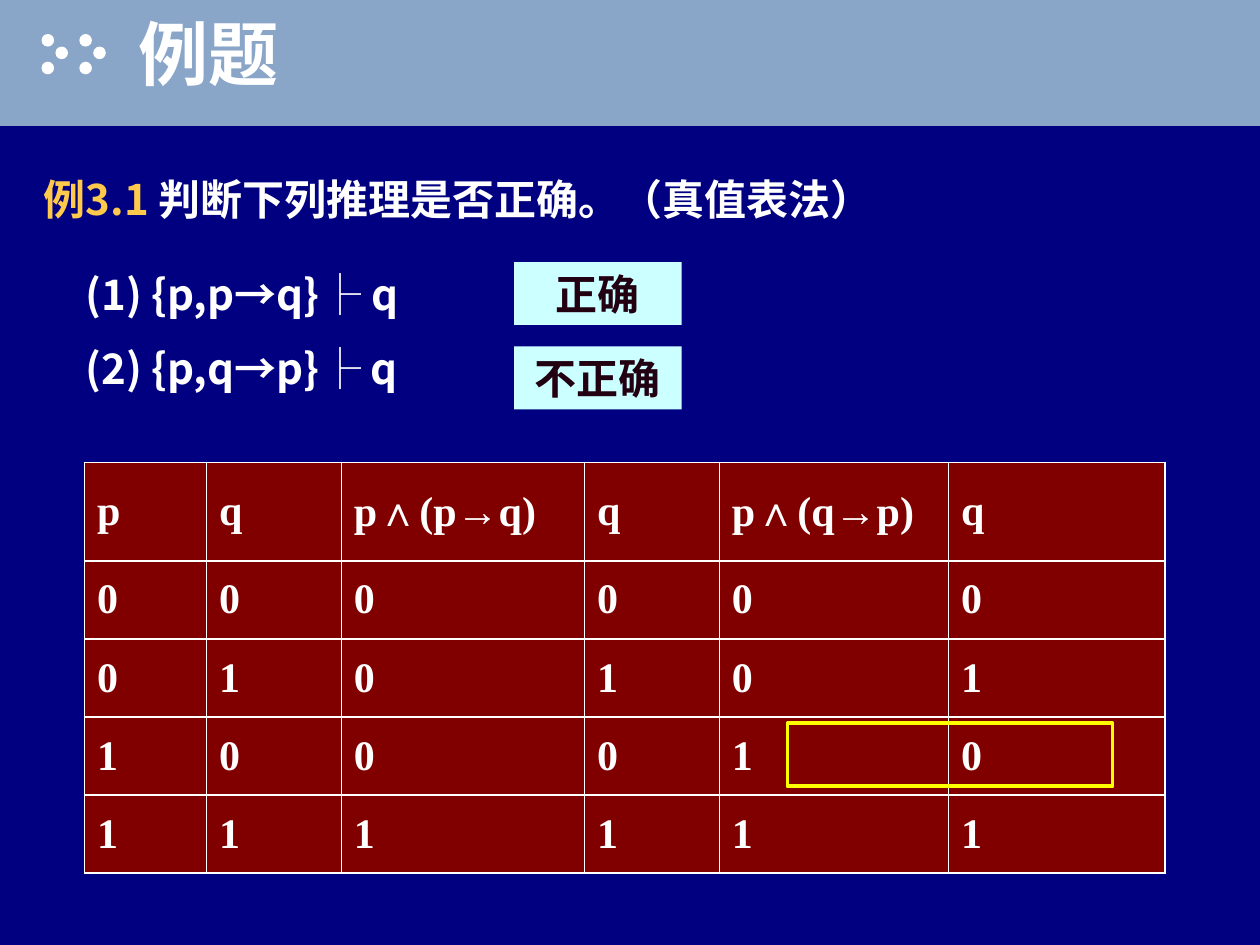
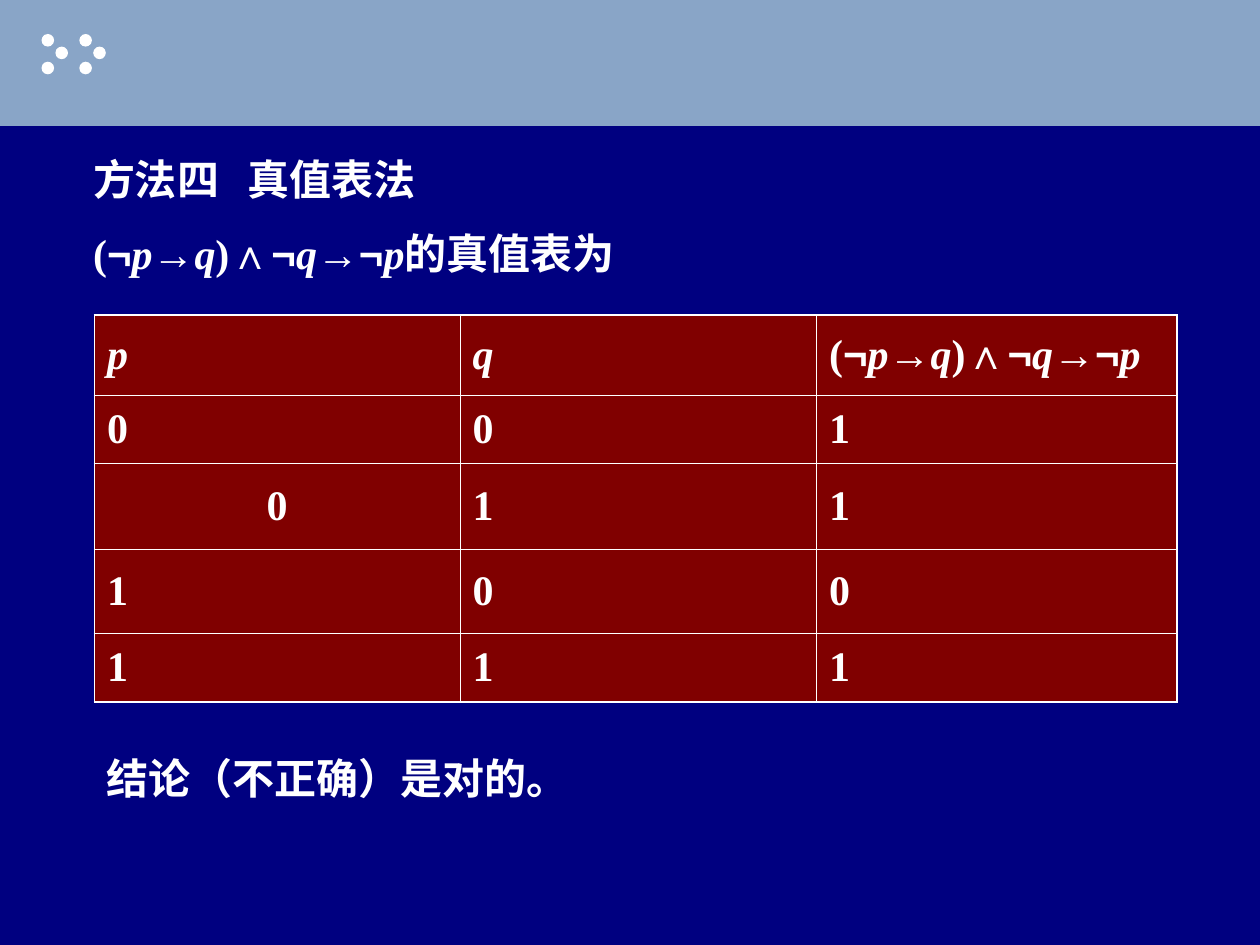
from itertools import groupby

from lxml.etree import SubElement
from pptx import Presentation
from pptx.dml.color import RGBColor
from pptx.enum.lang import MSO_LANGUAGE_ID
from pptx.enum.shapes import MSO_SHAPE
from pptx.enum.text import MSO_ANCHOR, PP_ALIGN
from pptx.oxml.ns import qn
from pptx.util import Inches, Pt

COLORS = {
    "background": "000080",
    "band": "89A5C7",
    "white": "FFFFFF",
    "label": "FFC94C",
    "cell": "800000",
    "verdict": "CCFFFF",
    "verdict_text": "220011",
    "highlight": "FFFF00",
    "shadow": "220011",
}
SERIF, SANS, CHINESE = "Times New Roman", "Arial", "Noto Sans CJK SC"
TITLE_ONLY, BLANK = 5, 6
OUTER_LINE, INNER_LINE = 1.08, 0.45
FORMULA = "(¬p→q)∧¬q→¬p"


def rgb(name):
    return RGBColor.from_string(COLORS[name])


def inches(box):
    return [Inches(length) for length in box]


# Text
def add_run(paragraph, text, font=SERIF, color="white", size=24, italic=False,
            east_asian=CHINESE):
    run = paragraph.add_run()
    run.text = text
    run.font.name = font
    run.font.size = Pt(size)
    run.font.bold = True
    run.font.italic = italic
    run.font.color.rgb = rgb(color)
    run.font.language_id = MSO_LANGUAGE_ID.SIMPLIFIED_CHINESE
    SubElement(run.font._element, qn("a:ea"), typeface=east_asian)
    return run


def add_formula(paragraph, text, sans_symbols, italic_letters=False):
    """Set the given symbols in sans and, if asked, the letters in italics."""
    def style(symbol):
        font = SANS if symbol in sans_symbols else SERIF
        return font, italic_letters and symbol.isalpha()

    for (font, italic), symbols in groupby(text, style):
        add_run(paragraph, "".join(symbols), font, italic=italic,
                east_asian=font)


def add_paragraphs(slide, box, count=1, alignment=PP_ALIGN.LEFT):
    frame = slide.shapes.add_textbox(*inches(box)).text_frame
    frame.word_wrap = True
    for _ in range(count - 1):
        frame.add_paragraph()
    for paragraph in frame.paragraphs:
        paragraph.alignment = alignment
        paragraph.space_before = Pt(13.5)
    return frame.paragraphs


# Shapes
def add_filled(shapes, kind, box, color):
    shape = shapes.add_shape(kind, *inches(box))
    shape.shadow.inherit = False
    shape.fill.solid()
    shape.fill.fore_color.rgb = rgb(color)
    shape.line.fill.background()
    return shape


def add_header(slide, box):
    """Band with two arrowheads made of dots."""
    left, top, _, _ = box
    add_filled(slide.shapes, MSO_SHAPE.RECTANGLE, box, "band")
    dots = slide.shapes.add_group_shape().shapes
    for arrow_left in (0.33, 0.63):
        for shift, dot_top in ((0, 0.27), (0.11, 0.37), (0, 0.49)):
            dot = (left + arrow_left + shift, top + dot_top, 0.1, 0.1)
            add_filled(dots, MSO_SHAPE.OVAL, dot, "white")


def set_title(slide, box, text):
    title = slide.shapes.title
    # Bring the placeholder in front of the header band
    slide.shapes._spTree.append(title._element)
    title.left, title.top, title.width, title.height = inches(box)
    title.text_frame.vertical_anchor = MSO_ANCHOR.MIDDLE
    paragraph = title.text_frame.paragraphs[0]
    paragraph.alignment = PP_ALIGN.LEFT
    run = add_run(paragraph, text, size=40)
    # Text shadow, placed straight after the fill
    properties = run.font._element
    effects = SubElement(properties, qn("a:effectLst"))
    shadow = SubElement(effects, qn("a:outerShdw"), dist="38100", dir="2700000")
    SubElement(shadow, qn("a:srgbClr"), val=COLORS["shadow"])
    properties.find(qn("a:solidFill")).addnext(effects)


def add_verdict(slide, box, text):
    shape = add_filled(slide.shapes, MSO_SHAPE.RECTANGLE, box, "verdict")
    frame = shape.text_frame
    frame.word_wrap = False
    frame.vertical_anchor = MSO_ANCHOR.MIDDLE
    paragraph = frame.paragraphs[0]
    paragraph.alignment = PP_ALIGN.CENTER
    paragraph.space_before = Pt(13.5)
    add_run(paragraph, text, SANS, "verdict_text")


# Truth tables
def set_borders(cell, widths):
    properties = cell._tc.get_or_add_tcPr()
    for side, width in zip("LRTB", widths):
        line = SubElement(properties, qn(f"a:ln{side}"), w=str(Pt(width)))
        fill = SubElement(line, qn("a:solidFill"))
        SubElement(fill, qn("a:srgbClr"), val=COLORS["white"])


def add_truth_table(slide, box, rows, widths, heights, inner_line,
                    sans_symbols, italic_letters=False):
    table = slide.shapes.add_table(len(rows), len(widths), *inches(box)).table
    table.first_row = table.horz_banding = False
    for column, width in zip(table.columns, widths):
        column.width = Inches(width)
    last_row, last_column = len(rows) - 1, len(widths) - 1
    for i, (values, height) in enumerate(zip(rows, heights)):
        table.rows[i].height = Inches(height)
        for j, value in enumerate(values):
            cell = table.cell(i, j)
            on_edge = (j == 0, j == last_column, i == 0, i == last_row)
            set_borders(cell, [OUTER_LINE if edge else inner_line
                               for edge in on_edge])
            cell.fill.solid()
            cell.fill.fore_color.rgb = rgb("cell")
            cell.vertical_anchor = MSO_ANCHOR.MIDDLE
            paragraph = cell.text_frame.paragraphs[0]
            paragraph.space_before = Pt(13.5)
            add_formula(paragraph, value, sans_symbols, italic_letters)
    return table


# Slides
def build_example(presentation):
    slide = presentation.slides.add_slide(presentation.slide_layouts[TITLE_ONLY])
    add_header(slide, (0, 0, 10, 1))
    set_title(slide, (1, 0, 9, 0.83), "例题")

    question, = add_paragraphs(slide, (0.25, 1.33, 9.42, 0.67))
    add_run(question, "例3.1 ", CHINESE, "label")
    add_run(question, "判断下列推理是否正确。（真值表法）", CHINESE)

    inferences = ("(1) {p,p→q}├ q", "(2) {p,q→p}├ q")
    paragraphs = add_paragraphs(slide, (0.58, 2.08, 3.25, 1.25), 2)
    for paragraph, inference in zip(paragraphs, inferences):
        add_run(paragraph, inference, CHINESE)
    for i, verdict in enumerate(("正确", "不正确")):
        add_verdict(slide, (4.08, 2.08 + 0.67 * i, 1.33, 0.5), verdict)

    rows = [("p", "q", "p∧(p→q)", "q", "p∧(q→p)", "q"),
            "000000", "010101", "100010", "111111"]
    add_truth_table(slide, (0.67, 3.67, 8.58, 3.25), rows,
                    (0.97, 1.07, 1.93, 1.07, 1.82, 1.72),
                    [0.78] + [0.62] * 4, OUTER_LINE, "∧")

    # Frame around the counterexample
    frame = add_filled(slide.shapes, MSO_SHAPE.RECTANGLE,
                       (6.25, 5.74, 2.58, 0.5), "highlight")
    frame.fill.background()
    frame.line.color.rgb = rgb("highlight")
    frame.line.width = Pt(2.25)


def build_method(presentation):
    slide = presentation.slides.add_slide(presentation.slide_layouts[BLANK])
    add_header(slide, (0, 0, 10, 1))

    heading, statement = add_paragraphs(slide, (0.64, 1.17, 8.67, 1.17), 2,
                                        PP_ALIGN.JUSTIFY)
    tabs = SubElement(heading._p.get_or_add_pPr(), qn("a:tabLst"))
    SubElement(tabs, qn("a:tab"), pos=str(Inches(1.23)), algn="l")
    add_run(heading, "方法四\t真值表法")
    add_formula(statement, FORMULA, "¬→∧", italic_letters=True)
    add_run(statement, "的真值表为")

    rows = [("p", "q", FORMULA), "001", "011", "100", "111"]
    table = add_truth_table(slide, (0.75, 2.5, 8.58, 3.08), rows,
                            (2.9, 2.83, 2.86), (0.64, 0.54, 0.68, 0.67, 0.54),
                            INNER_LINE, "¬→∧", italic_letters=True)
    table.cell(2, 0).text_frame.paragraphs[0].alignment = PP_ALIGN.CENTER

    conclusion, = add_paragraphs(slide, (0.75, 5.92, 8.67, 0.58),
                                 alignment=PP_ALIGN.JUSTIFY)
    add_run(conclusion, "结论（不正确）是对的。")


def main():
    presentation = Presentation()
    presentation.slide_width, presentation.slide_height = Inches(10), Inches(7.5)
    background = presentation.slide_master.background.fill
    background.solid()
    background.fore_color.rgb = rgb("background")
    build_example(presentation)
    build_method(presentation)
    presentation.save("out.pptx")


if __name__ == "__main__":
    main()
